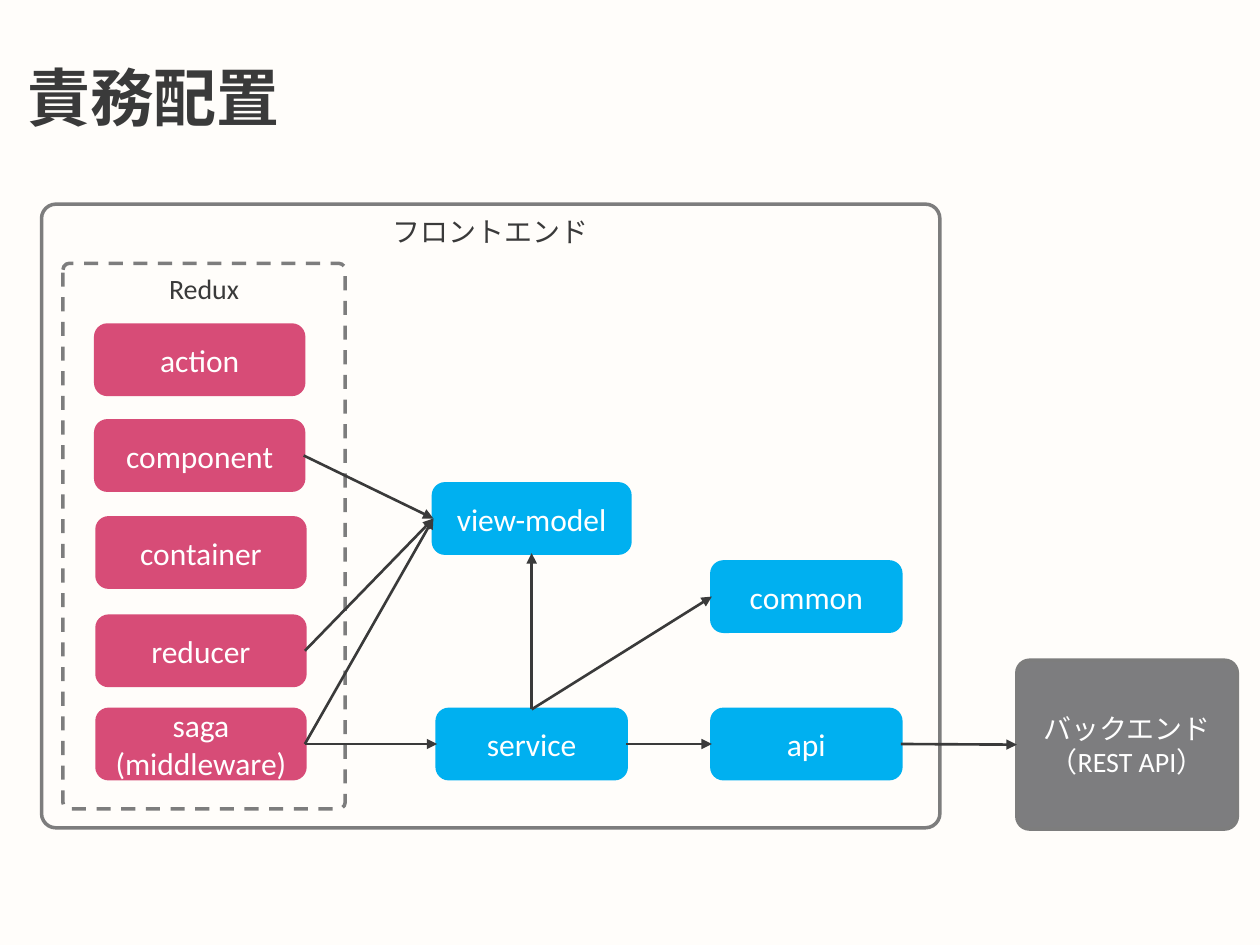
from pptx import Presentation
from pptx.dml.color import RGBColor
from pptx.enum.dml import MSO_LINE
from pptx.enum.shapes import MSO_CONNECTOR, MSO_SHAPE
from pptx.enum.text import MSO_ANCHOR, PP_ALIGN
from pptx.oxml.ns import qn
from pptx.util import Inches, Pt
from lxml import etree

ROUND = MSO_SHAPE.ROUNDED_RECTANGLE
STRAIGHT = MSO_CONNECTOR.STRAIGHT
DASH = MSO_LINE.DASH
TOP, MIDDLE = MSO_ANCHOR.TOP, MSO_ANCHOR.MIDDLE
LEFT, CENTER = PP_ALIGN.LEFT, PP_ALIGN.CENTER
NORTH, WEST, SOUTH, EAST = range(4)

PAPER = RGBColor(0xFF, 0xFD, 0xFA)
INK = RGBColor(0x3A, 0x3A, 0x3A)
WHITE = RGBColor(0xFF, 0xFF, 0xFF)
EDGE = RGBColor(0x7D, 0x7D, 0x7D)
GRAY = RGBColor(0x7D, 0x7D, 0x7F)
BLUE = RGBColor(0x00, 0xB0, 0xF0)
PINK = RGBColor(0xD7, 0x4C, 0x77)


class Board:
    font = "Calibri"

    def __init__(self, slide):
        self.slide = slide
        fill = slide.background.fill
        fill.solid()
        fill.fore_color.rgb = PAPER

    def label(self, shape, lines, size, color, anchor, align=CENTER, bold=False):
        frame = shape.text_frame
        frame.word_wrap = True
        frame.vertical_anchor = anchor
        for i, line in enumerate(lines):
            para = frame.add_paragraph() if i else frame.paragraphs[0]
            para.alignment = align
            run = para.add_run()
            run.text = line
            run.font.name = self.font
            run.font.size = Pt(size)
            run.font.bold = bold
            run.font.color.rgb = color

    def title(self, text, *area):
        box = self.slide.shapes.add_textbox(*map(Inches, area))
        self.label(box, [text], 36, INK, MIDDLE, LEFT, True)

    def block(self, area, edge, round_by):
        shape = self.slide.shapes.add_shape(ROUND, *map(Inches, area))
        shape.shadow.inherit = False
        shape.adjustments[0] = round_by
        shape.line.color.rgb = edge
        shape.line.width = Pt(2)
        return shape

    def frame(self, text, *area, dash=None):
        shape = self.block(area, EDGE, 0.023)
        shape.fill.background()
        if dash:
            shape.line.dash_style = dash
        self.label(shape, [text], 16, INK, TOP)

    def node(self, lines, *area, fill, edge=None, size=18, round_by=0.167):
        shape = self.block(area, edge or fill, round_by)
        shape.fill.solid()
        shape.fill.fore_color.rgb = fill
        self.label(shape, lines, size, WHITE, MIDDLE)
        return shape

    def arrow(self, start, out, end, into):
        line = self.slide.shapes.add_connector(STRAIGHT, 0, 0, 0, 0)
        line.begin_connect(start, out)
        line.end_connect(end, into)
        line.line.color.rgb = INK
        line.line.width = Pt(1.5)
        props = line._element.spPr
        tail = etree.SubElement(props.find(qn("a:ln")), qn("a:tailEnd"))
        tail.set("type", "triangle")
        etree.SubElement(props, qn("a:effectLst"))


def main():
    deck = Presentation()
    deck.slide_width, deck.slide_height = Inches(10), Inches(7.5)
    board = Board(deck.slides.add_slide(deck.slide_layouts[6]))

    # Title and front end
    board.title("責務配置", 0.12, 0.14, 9, 1.25)
    board.frame("フロントエンド", 0.33, 1.62, 7.13, 4.95)

    # Redux parts
    high, base = 0.55, 5.63
    parts = [("action", 0.76, 2.58), ("component", 0.76, 3.34),
             ("container", 0.77, 4.11), ("reducer", 0.77, 4.89),
             ("saga\n(middleware)", 0.77, base)]
    _, comp, _, reducer, saga = [
        board.node(text.split("\n"), x, y, 1.65, high, fill=PINK)
        for text, x, y in parts]
    board.frame("Redux", 0.5, 2.09, 2.24, 4.33, dash=DASH)

    # Shared modules
    modules = [("view-model", 3.44, 3.84, 1.56), ("service", 3.47, base, 1.5),
               ("common", 5.65, 4.46, 1.5), ("api", 5.65, base, 1.5)]
    view, service, common, api = [
        board.node([text], x, y, wide, high, fill=BLUE)
        for text, x, y, wide in modules]

    # Back end
    back = board.node(["バックエンド", "（REST API）"], 8.07, 5.24, 1.75, 1.34,
                      fill=GRAY, edge=EDGE, size=16, round_by=0.075)

    # Dependencies
    for start, end in [(comp, view), (reducer, view), (saga, view),
                       (saga, service), (service, api), (api, back)]:
        board.arrow(start, EAST, end, WEST)
    board.arrow(service, NORTH, view, SOUTH)
    board.arrow(service, NORTH, common, WEST)

    deck.save("out.pptx")


if __name__ == "__main__":
    main()
